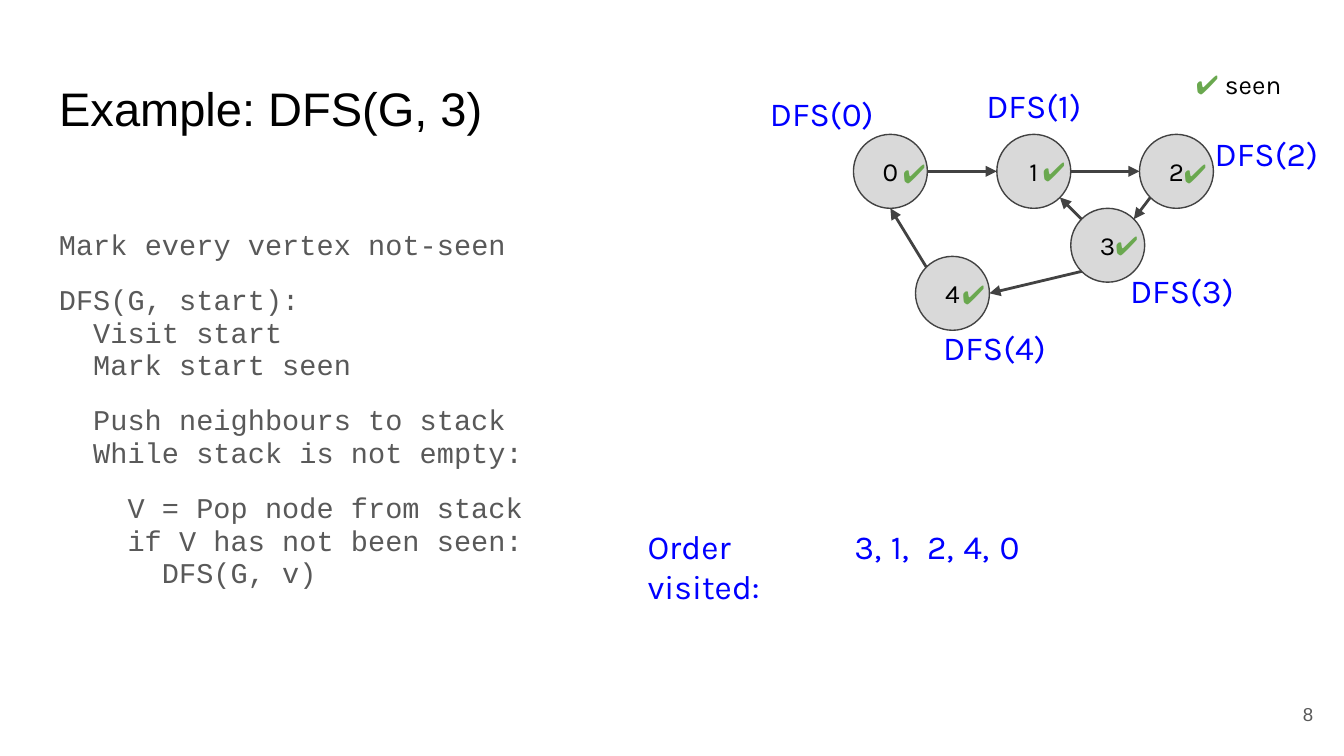
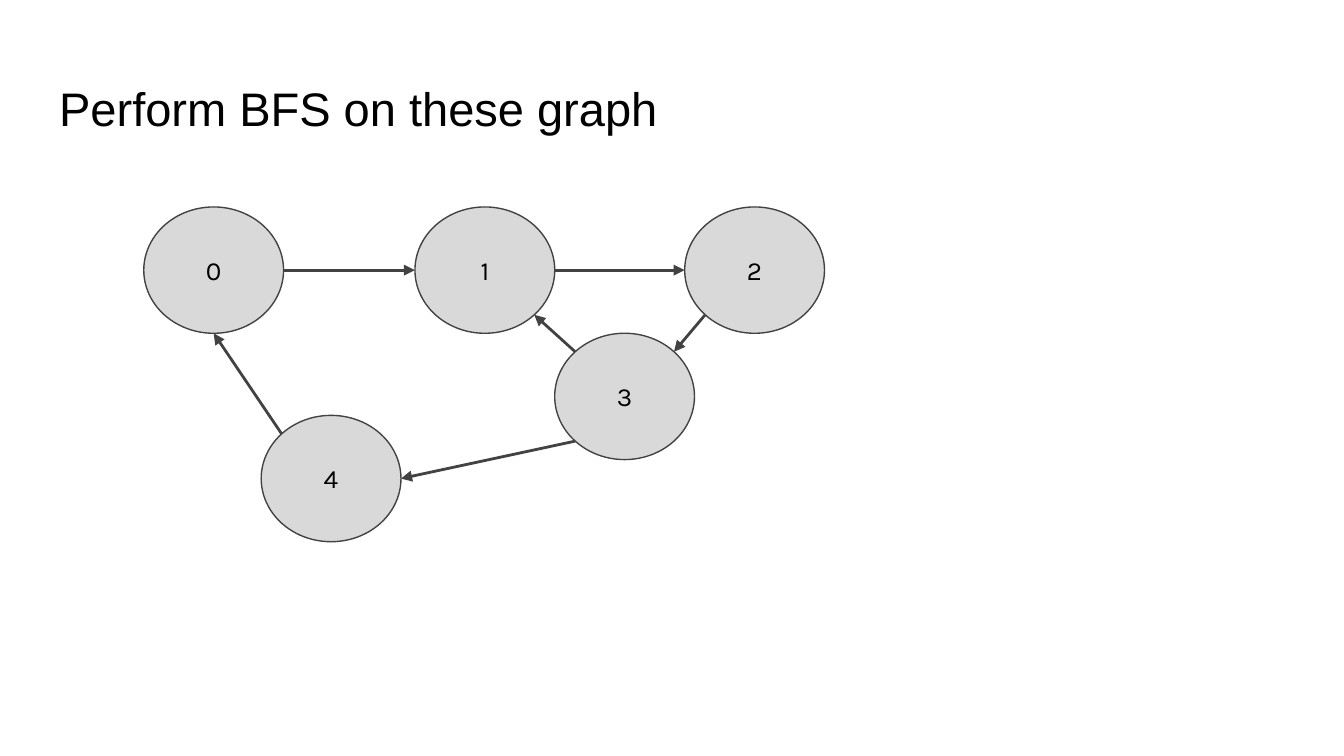
from math import cos, radians, sin
from typing import NamedTuple

from lxml import etree
from pptx import Presentation
from pptx.dml.color import RGBColor
from pptx.enum import shapes, text
from pptx.oxml.ns import qn
from pptx.util import Inches, Pt

# Shared look
BLACK, GREY, BLUE, GREEN = "000000", "595959", "0000FF", "6AA84F"
DISC, EDGE = "D9D9D9", "424242"
SANS, MONO, KARLA = "Arial", "Courier New", "Karla"
LEFT, RIGHT = text.PP_ALIGN.LEFT, text.PP_ALIGN.RIGHT
CENTER = text.PP_ALIGN.CENTER
TOP, MIDDLE = text.MSO_ANCHOR.TOP, text.MSO_ANCHOR.MIDDLE
TICK = "✔"


class Node(NamedTuple):
    """A vertex; x and y count in node widths and heights."""
    name: str
    x: float
    y: float


class Link(NamedTuple):
    """An edge; sites run counterclockwise from the top in eighths."""
    tail: int
    out: int
    head: int
    into: int


class Code(NamedTuple):
    line: str
    level: int = 0
    gap: int = 0


class Mark(NamedTuple):
    """A label and a tick beside one vertex, as left and top."""
    name: str
    label: tuple[float, float]
    tick: tuple[float, float]


NODES = [
    Node("0", 0, 0), Node("1", 1.94, 0), Node("2", 3.87, 0),
    Node("3", 2.94, 1), Node("4", 0.84, 1.65),
]
LINKS = [
    Link(0, 6, 1, 2), Link(1, 6, 2, 2), Link(2, 3, 3, 7),
    Link(3, 1, 1, 5), Link(3, 3, 4, 6), Link(4, 1, 0, 4),
]
CODE = [
    Code("Mark every vertex not-seen"),
    Code("DFS(G, start):", 0, 12),
    Code("Visit start", 1),
    Code("Mark start seen", 1),
    Code("Push neighbours to stack", 1, 12),
    Code("While stack is not empty:", 1),
    Code("V = Pop node from stack", 2, 12),
    Code("if V has not been seen:", 2),
    Code("DFS(G, v)", 3),
]
MARKS = [
    Mark("DFS(0)", (5.63, 0.59), (6.62, 1.07)),
    Mark("DFS(1)", (7.24, 0.53), (7.66, 1.06)),
    Mark("DFS(2)", (8.94, 0.89), (8.71, 1.07)),
    Mark("DFS(3)", (8.31, 1.91), (8.2, 1.61)),
    Mark("DFS(4)", (6.92, 2.33), (7.06, 1.97)),
]


def shade(fmt, hue: str) -> None:
    """Give a fill or a font one solid colour."""
    if hasattr(fmt, "solid"):
        fmt.solid()
        fmt.fore_color.rgb = RGBColor.from_string(hue)
    else:
        fmt.color.rgb = RGBColor.from_string(hue)


def setup(frame, anchor=TOP) -> None:
    frame.word_wrap = True
    frame.auto_size = text.MSO_AUTO_SIZE.NONE
    frame.vertical_anchor = anchor
    frame.margin_left = frame.margin_right = Inches(0.1)
    frame.margin_top = frame.margin_bottom = Inches(0.1)


def write(para, words: str, *, size: float = 18, font: str = KARLA,
          hue: str = BLUE, align=LEFT) -> None:
    """Add one formatted run to a paragraph."""
    para.alignment = align
    run = para.add_run()
    run.text = words
    run.font.size = Pt(size)
    run.font.name = font
    shade(run.font, hue)


def box(slide, x: float, y: float, w: float, h: float, words: str = "",
        anchor=TOP, **style):
    """Add a text box and return its frame."""
    frame = slide.shapes.add_textbox(
        Inches(x), Inches(y), Inches(w), Inches(h)).text_frame
    setup(frame, anchor)
    if words:
        write(frame.paragraphs[0], words, **style)
    return frame


def start(deck, title: str):
    """Add a slide with the shared title style."""
    slide = deck.slides.add_slide(deck.slide_layouts[5])
    head = slide.shapes.title
    head.left, head.top = Inches(0.34), Inches(0.49)
    head.width, head.height = Inches(9.32), Inches(0.63)
    setup(head.text_frame)
    write(head.text_frame.paragraphs[0], title,
          size=25.2, font=SANS, hue=BLACK)
    return slide


def site(disc, index: int) -> tuple[int, int]:
    """Find the point of a connection site on an ellipse."""
    turn = radians(45 * index)
    x = disc.left + disc.width * (1 - sin(turn)) / 2
    y = disc.top + disc.height * (1 - cos(turn)) / 2
    return round(x), round(y)


def join(group, discs: list, link: Link) -> None:
    """Draw an arrow glued to two vertices."""
    tail, head = discs[link.tail], discs[link.head]
    arrow = group.add_connector(
        shapes.MSO_CONNECTOR.STRAIGHT,
        *site(tail, link.out), *site(head, link.into))
    shade(arrow.line.fill, EDGE)
    arrow.line.width = Pt(1.5)
    etree.SubElement(arrow.line._get_or_add_ln(), qn("a:tailEnd"),
                     type="triangle")
    etree.SubElement(arrow._element.spPr, qn("a:effectLst"))
    # Ellipses have eight sites, so the glue is set directly
    props = arrow._element.find(".//" + qn("p:cNvCxnSpPr"))
    for tag, disc, index in (("a:stCxn", tail, link.out),
                             ("a:endCxn", head, link.into)):
        etree.SubElement(props, qn(tag), id=str(disc.shape_id),
                         idx=str(index))


def graph(slide, x: float, y: float, w: float, h: float) -> None:
    """Draw the graph with its first vertex at x, y and w by h in size."""
    group = slide.shapes.add_group_shape().shapes
    discs = []
    for node in NODES:
        disc = group.add_shape(
            shapes.MSO_SHAPE.OVAL, Inches(x + node.x * w),
            Inches(y + node.y * h), Inches(w), Inches(h))
        disc.shadow.inherit = False
        shade(disc.fill, DISC)
        shade(disc.line.fill, EDGE)
        disc.line.width = Pt(0.75)
        setup(disc.text_frame, MIDDLE)
        write(disc.text_frame.paragraphs[0], node.name,
              size=14, hue=BLACK, align=CENTER)
        discs.append(disc)
    for link in LINKS:
        join(group, discs, link)


def trace(deck) -> None:
    """Depth-first search: code, graph and visiting order."""
    slide = start(deck, "Example: DFS(G, 3)")

    # Pseudocode, two characters of indent per level
    frame = box(slide, 0.34, 1.61, 5.37, 3.39)
    for i, code in enumerate(CODE):
        para = frame.add_paragraph() if i else frame.paragraphs[0]
        para.line_spacing = 0.95
        para.space_before = Pt(code.gap)
        if code.level:
            para._p.get_or_add_pPr().set("marL", str(Pt(18.4) * code.level))
        write(para, code.line, size=15.3, font=MONO, hue=GREY)

    box(slide, 9.27, 5.1, 0.6, 0.43, "8", MIDDLE,
        size=10, font=SANS, hue=GREY, align=RIGHT)

    # Graph with labels, ticks and legend
    graph(slide, 6.35, 1, 0.55, 0.55)
    for mark in MARKS:
        box(slide, *mark.label, 1.06, 0.55, mark.name)
        box(slide, *mark.tick, 0.36, 0.43, TICK, size=14, hue=GREEN)
    key = box(slide, 8.8, 0.41, 0.86, 0.55, TICK, size=14, hue=GREEN)
    write(key.paragraphs[0], " seen", size=14, hue=BLACK)

    # Visiting order
    box(slide, 4.72, 3.81, 1.62, 0.55, "Order visited:")
    for i, step in enumerate(["3,", "1,", "2,", "4,", "0"]):
        box(slide, 6.26 + 0.27 * i, 3.81, 0.43, 0.55, step)


def task(deck) -> None:
    """Breadth-first search exercise."""
    slide = start(deck, "Perform BFS on these graph")
    graph(slide, 1.07, 1.54, 1.04, 0.94)


def main() -> None:
    deck = Presentation()
    # Widescreen, 16 to 9
    deck.slide_width, deck.slide_height = Inches(10), Inches(10 * 9 / 16)
    trace(deck)
    task(deck)
    deck.save("out.pptx")


if __name__ == "__main__":
    main()
